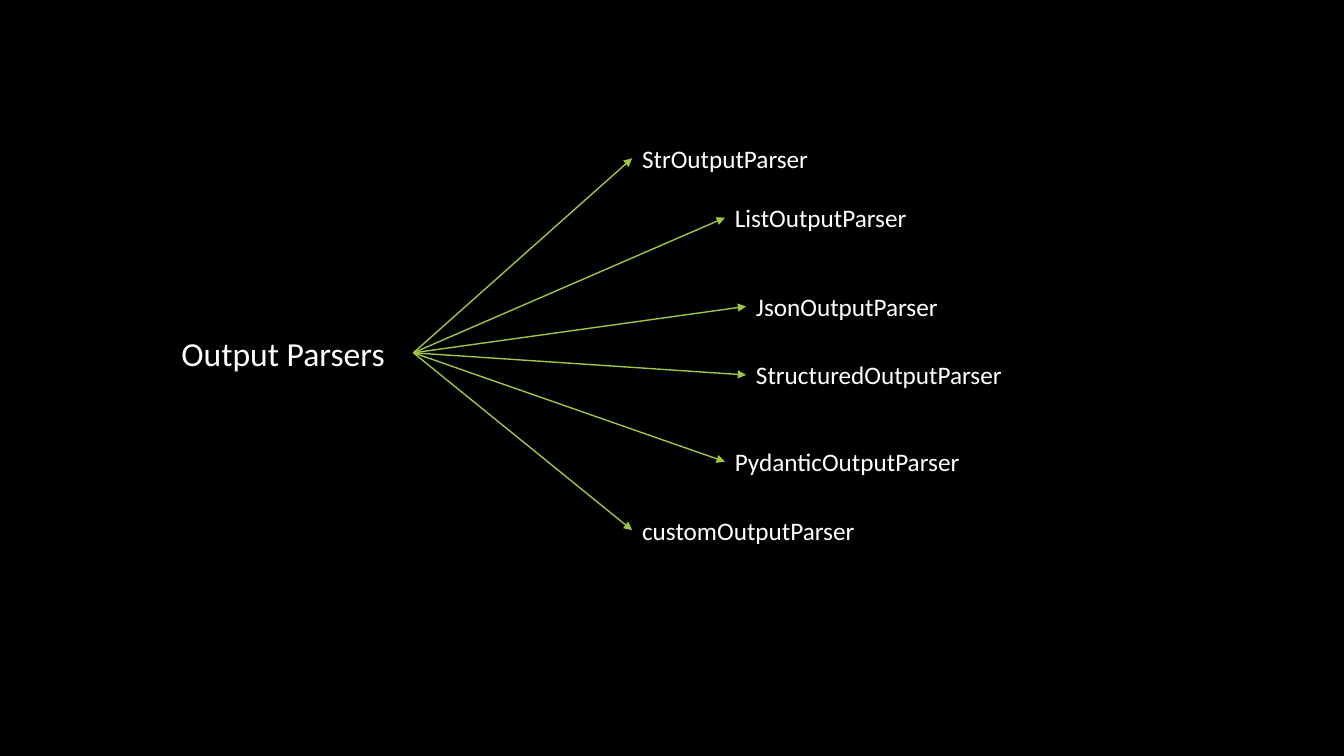
from dataclasses import dataclass

from lxml.etree import SubElement
from pptx import Presentation
from pptx.dml.color import RGBColor
from pptx.enum.shapes import MSO_CONNECTOR
from pptx.enum.text import MSO_ANCHOR, MSO_AUTO_SIZE, PP_ALIGN
from pptx.oxml.ns import qn
from pptx.util import Inches, Pt


@dataclass(frozen=True)
class Theme:
    """Colours, font and sizes of the slide."""
    background: RGBColor = RGBColor(0x00, 0x00, 0x00)
    text: RGBColor = RGBColor(0xFF, 0xFF, 0xFF)
    arrow: RGBColor = RGBColor(0x9E, 0xC5, 0x44)
    font: str = "Calibri"
    root_size: int = 24
    branch_size: int = 18
    arrow_width: int = 1


THEME = Theme()
BRANCHES = [
    ("StrOutputParser", 2.17, -1.93, 2.74),
    ("ListOutputParser", 3.09, -1.34, 2.94),
    ("JsonOutputParser", 3.3, -0.46, 5.93),
    ("StructuredOutputParser", 3.3, 0.22, 5.93),
    ("PydanticOutputParser", 3.09, 1.08, 6.14),
    ("customOutputParser", 2.17, 1.76, 7.06),
]


def write_label(s, text, size):
    """Write one left-aligned line into a shape."""
    tf = s.text_frame
    tf.word_wrap = True
    tf.auto_size = MSO_AUTO_SIZE.SHAPE_TO_FIT_TEXT
    tf.vertical_anchor = MSO_ANCHOR.TOP
    p = tf.paragraphs[0]
    p.alignment = PP_ALIGN.LEFT
    r = p.add_run()
    r.text = text
    r.font.name = THEME.font
    r.font.size = Pt(size)
    r.font.color.rgb = THEME.text


def add_root(slide, left, top, width, height):
    """Place the title as the root of the tree."""
    s = slide.shapes.title
    s.left, s.top, s.width, s.height = left, top, width, height
    write_label(s, "Output Parsers", THEME.root_size)
    return s


def add_arrow(slide, root, branch):
    """Join the root's right side to the branch's left side."""
    c = slide.shapes.add_connector(MSO_CONNECTOR.STRAIGHT, 0, 0, 0, 0)
    c.begin_connect(root, 3)
    c.end_connect(branch, 1)
    c.line.color.rgb = THEME.arrow
    c.line.width = Pt(THEME.arrow_width)
    SubElement(c.line._get_or_add_ln(), qn("a:tailEnd"), type="triangle")
    SubElement(c._element.spPr, qn("a:effectLst"))


def add_branches(slide, root):
    """Fan the parser names out from the root."""
    height = Inches(0.4)
    hub_x = root.left + root.width
    hub_y = root.top + root.height // 2
    labels = []
    for name, dx, dy, width in BRANCHES:
        s = slide.shapes.add_textbox(
            hub_x + Inches(dx), hub_y + Inches(dy) - height // 2,
            Inches(width), height)
        write_label(s, name, THEME.branch_size)
        labels.append(s)
    for s in labels:
        add_arrow(slide, root, s)


def main():
    """Build and save the slide."""
    prs = Presentation()
    prs.slide_width, prs.slide_height = Inches(13.33), Inches(7.5)
    slide = prs.slides.add_slide(prs.slide_layouts[5])
    fill = slide.background.fill
    fill.solid()
    fill.fore_color.rgb = THEME.background
    root = add_root(slide, Inches(1.7), Inches(3.25), Inches(2.4), Inches(0.5))
    add_branches(slide, root)
    prs.save("out.pptx")


if __name__ == "__main__":
    main()
